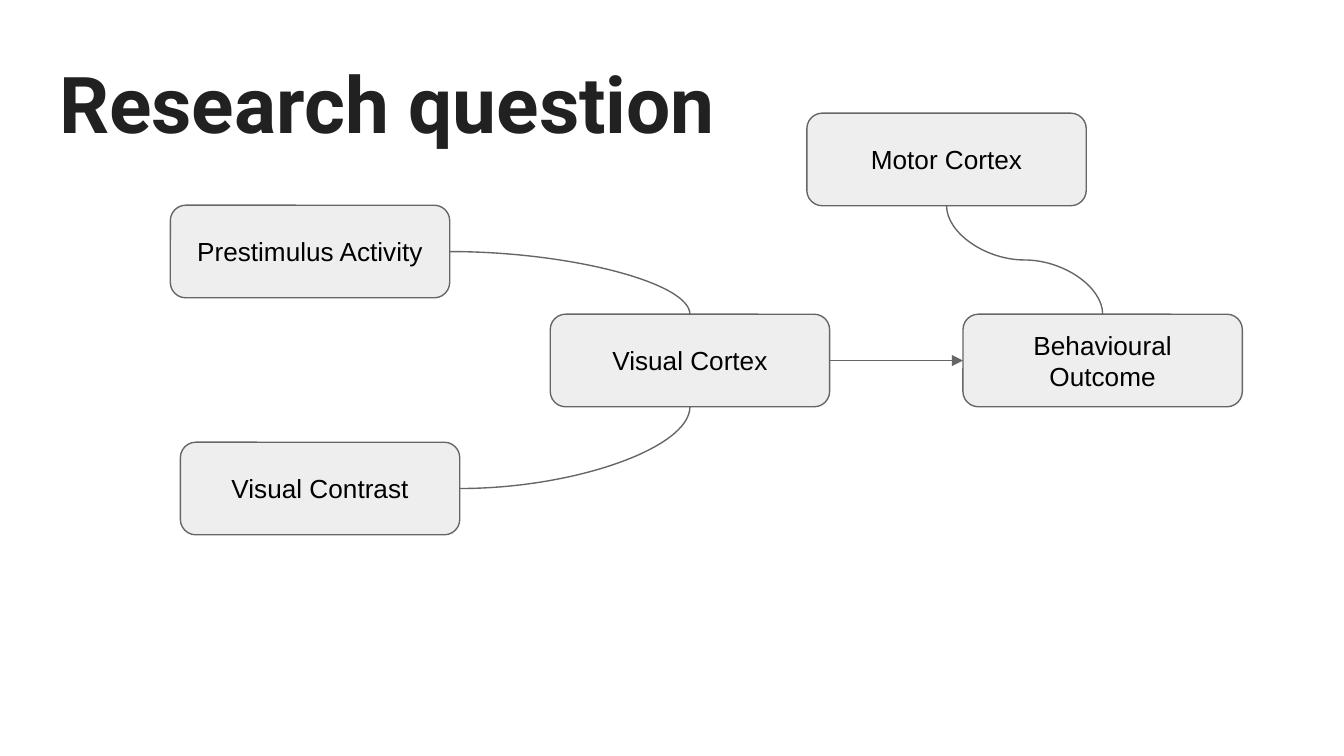
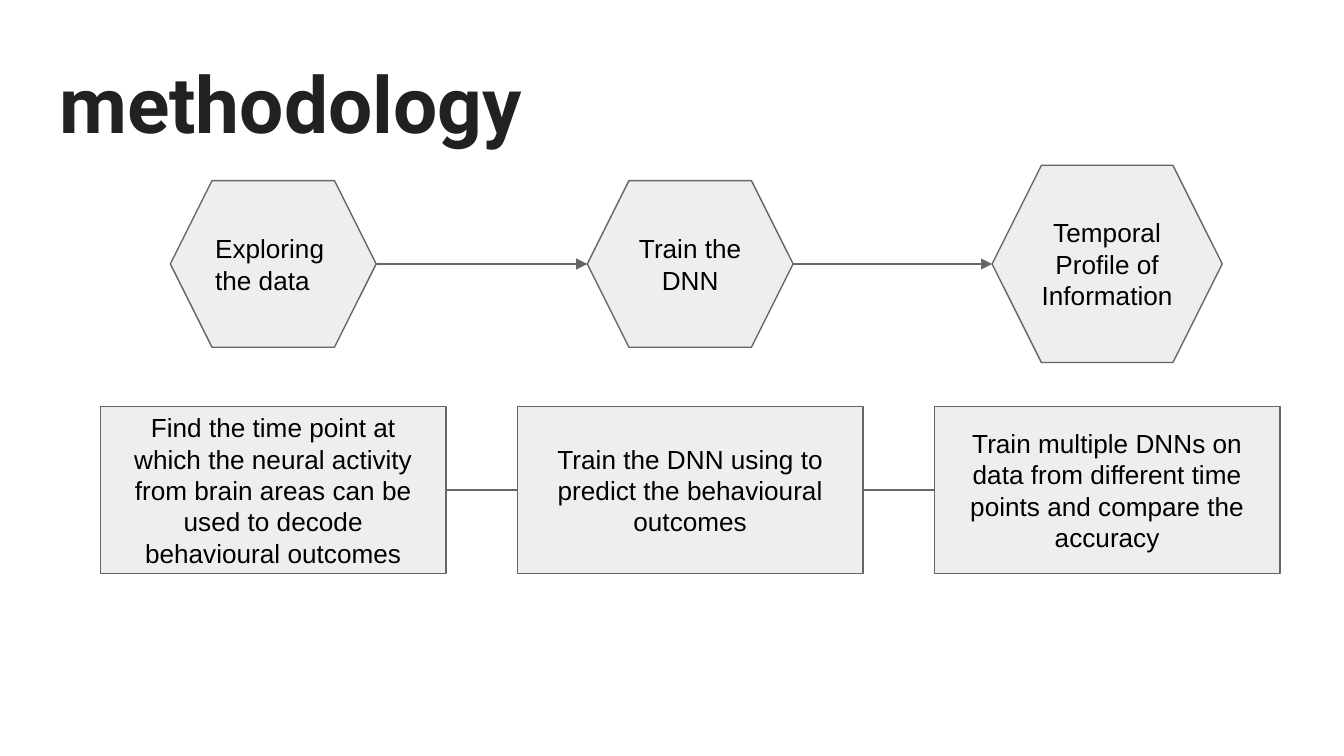
from itertools import pairwise
from lxml.etree import SubElement
from pptx import Presentation
from pptx.dml.color import RGBColor
from pptx.enum.shapes import MSO_CONNECTOR, MSO_SHAPE
from pptx.enum.text import MSO_ANCHOR, PP_ALIGN
from pptx.oxml.ns import qn
from pptx.util import Cm, Pt

COLORS = {name: RGBColor.from_string(value) for name, value in {
    "title": "212121", "text": "000000", "fill": "EEEEEE", "line": "666666",
}.items()}
MARGIN = Cm(0.26)
TOP, LEFT, BOTTOM, RIGHT = range(4)


def write(shape, text, font, size, color, alignment, anchor, bold=False):
    frame = shape.text_frame
    frame.text = text
    frame.word_wrap = True
    frame.vertical_anchor = anchor
    frame.margin_left = frame.margin_right = MARGIN
    frame.margin_top = frame.margin_bottom = MARGIN
    paragraph = frame.paragraphs[0]
    paragraph.alignment = alignment
    run = paragraph.runs[0]
    run.font.name = font
    run.font.size = Pt(size)
    run.font.bold = bold
    run.font.color.rgb = COLORS[color]


def add_link(slide, kind, points=(0, 0, 0, 0), arrow=False):
    connector = slide.shapes.add_connector(kind, *points)
    connector.line.color.rgb = COLORS["line"]
    connector.line.width = Pt(0.75)
    properties = connector._element.spPr
    if arrow:
        SubElement(properties.find(qn("a:ln")), qn("a:tailEnd"), type="triangle")
    SubElement(properties, qn("a:effectLst"))
    return connector


presentation = Presentation()
presentation.slide_width = Cm(25.4)
presentation.slide_height = Cm(14.29)

node_width, node_height = 5.28, 1.75
column_left, column_pitch = 1.9, 7.88
step_width, step_height = 6.53, 3.15
hexagon_middle, step_top = 4.99, 7.69

nodes = [
    ("Prestimulus Activity", 3.22, 3.88),
    ("Visual Contrast", 3.41, 8.36),
    ("Visual Cortex", 10.4, 5.94),
    ("Behavioural Outcome", 18.2, 5.94),
    ("Motor Cortex", 15.25, 2.14),
]
steps = [
    ("Exploring the data", 3.89, 3.15, PP_ALIGN.LEFT,
     "Find the time point at which the neural activity from brain areas "
     "can be used to decode behavioural outcomes"),
    ("Train the DNN", 3.89, 3.15, PP_ALIGN.CENTER,
     "Train the DNN using to predict the behavioural outcomes"),
    ("Temporal Profile of Information", 4.35, 3.73, PP_ALIGN.CENTER,
     "Train multiple DNNs on data from different time points and compare the accuracy"),
]

node_boxes = [
    (MSO_SHAPE.ROUNDED_RECTANGLE, text, left, top, node_width, node_height, PP_ALIGN.CENTER)
    for text, left, top in nodes
]
step_boxes = []
for column, (name, width, height, alignment, detail) in enumerate(steps):
    left = column_left + column * column_pitch
    step_boxes += [
        (MSO_SHAPE.HEXAGON, name, left + (step_width - width) / 2,
         hexagon_middle - height / 2, width, height, alignment),
        (MSO_SHAPE.RECTANGLE, detail, left, step_top, step_width, step_height,
         PP_ALIGN.CENTER),
    ]

slides = []
for heading, boxes in [("Research question", node_boxes), ("methodology", step_boxes)]:
    slide = presentation.slides.add_slide(presentation.slide_layouts[5])
    title = slide.shapes.title
    title.left, title.top, title.width, title.height = Cm(0.86), Cm(0.79), Cm(23.67), Cm(2.23)
    write(title, heading, "Roboto", 42, "title", PP_ALIGN.LEFT, MSO_ANCHOR.TOP, True)
    shapes = []
    for kind, text, left, top, width, height, alignment in boxes:
        shape = slide.shapes.add_shape(kind, Cm(left), Cm(top), Cm(width), Cm(height))
        shape.shadow.inherit = False
        shape.fill.solid()
        shape.fill.fore_color.rgb = COLORS["fill"]
        shape.line.color.rgb = COLORS["line"]
        shape.line.width = Pt(0.75)
        write(shape, text, "Arial", 14, "text", alignment, MSO_ANCHOR.MIDDLE)
        shapes.append(shape)
    slides.append((slide, shapes))

slide, shapes = slides[0]
prestimulus, contrast, visual, outcome, motor = shapes
for source, side in [(prestimulus, TOP), (contrast, BOTTOM)]:
    curve = add_link(slide, MSO_CONNECTOR.CURVE)
    curve.begin_connect(source, RIGHT)
    curve.end_connect(visual, side)
    curve._element.spPr.find(qn("a:prstGeom")).set("prst", "curvedConnector2")

arrow = add_link(slide, MSO_CONNECTOR.STRAIGHT, arrow=True)
arrow.begin_connect(visual, RIGHT)
arrow.end_connect(outcome, LEFT)

curve = add_link(slide, MSO_CONNECTOR.CURVE)
curve.begin_connect(motor, BOTTOM)
curve.end_connect(outcome, TOP)
across, down = curve.width, curve.height
curve.left += (across - down) // 2
curve.top += (down - across) // 2
curve.width, curve.height = down, across
transform = curve._element.spPr.find(qn("a:xfrm"))
transform.set("rot", "16200000")
transform.set("flipH", "1")

slide, shapes = slides[1]
for start, end in pairwise(shapes[0::2]):
    middle = Cm(hexagon_middle)
    add_link(slide, MSO_CONNECTOR.STRAIGHT,
             (start.left + start.width, middle, end.left, middle), arrow=True)
for start, end in pairwise(shapes[1::2]):
    link = add_link(slide, MSO_CONNECTOR.CURVE)
    link.begin_connect(start, RIGHT)
    link.end_connect(end, LEFT)

presentation.save("out.pptx")
